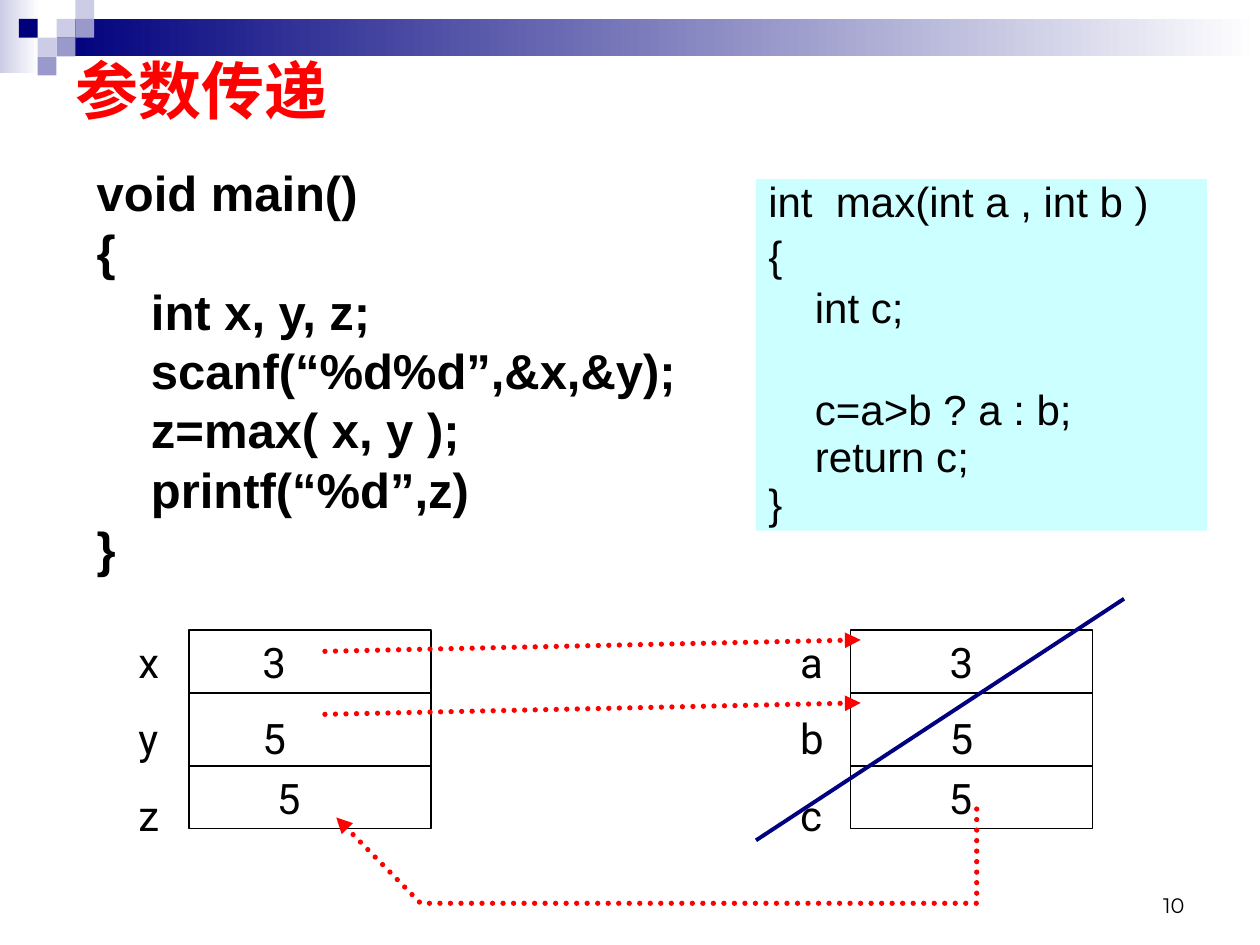
from lxml import etree
from pptx import Presentation
from pptx.dml.color import RGBColor
from pptx.enum import dml, shapes, text
from pptx.oxml import ns
from pptx.util import Cm, Pt

COLORS = {"navy": "00007D", "mid": "9999CC", "pale": "CCCCE6", "white": "FFFFFF",
          "red": "FF0000", "code": "CCFFFF", "black": "000000", "strike": "000080"}
RECT = shapes.MSO_SHAPE.RECTANGLE


def fill_text(frame, lines, font, spacing=None, before=0, align="LEFT", anchor="TOP", tab=None):
    """Write the lines as paragraphs; font holds the values for every run."""
    frame.word_wrap = True
    frame.auto_size = text.MSO_AUTO_SIZE.NONE
    frame.vertical_anchor = text.MSO_ANCHOR[anchor]
    for i, line in enumerate(lines):
        paragraph = frame.paragraphs[0] if i == 0 else frame.add_paragraph()
        paragraph.alignment = text.PP_ALIGN[align]
        paragraph.space_before = Pt(before if i else 0)
        if spacing:
            paragraph.line_spacing = spacing[i]
        if tab:
            tabs = etree.SubElement(paragraph._p.get_or_add_pPr(), ns.qn("a:tabLst"))
            etree.SubElement(tabs, ns.qn("a:tab"), pos=str(tab), algn="l")
        run = paragraph.add_run()
        run.text = line
        values = {"color": "black", **font}
        run.font.color.rgb = RGBColor.from_string(COLORS[values.pop("color")])
        for attribute, value in values.items():
            setattr(run.font, attribute, value)


def style_line(item, color, width, arrow=False):
    """Set an outline without shadow; an arrow is dotted and ends in a triangle."""
    item.line.color.rgb = RGBColor.from_string(COLORS[color])
    item.line.width = Pt(width)
    if arrow:
        item.line.dash_style = dml.MSO_LINE.ROUND_DOT
        outline = item.line._get_or_add_ln()
        outline.set("cap", "rnd")
        etree.SubElement(outline, ns.qn("a:round"))
        etree.SubElement(outline, ns.qn("a:tailEnd"), type="triangle")
    properties = item._element.spPr
    if properties.find(ns.qn("a:effectLst")) is None:
        etree.SubElement(properties, ns.qn("a:effectLst"))


prs = Presentation()
prs.slide_width, prs.slide_height = Cm(25.4), Cm(19.05)
slide = prs.slides.add_slide(prs.slide_layouts[5])
canvas = slide.shapes

# Header: two gradient bands and a mosaic of squares
for left, top, width, height, start in [(0, 0, 0.79, 1.47, "pale"), (1.14, 0.38, 24.26, 0.76, "navy")]:
    band = canvas.add_shape(RECT, Cm(left), Cm(top), Cm(width), Cm(height))
    band.shadow.inherit = False
    band.line.fill.background()
    band.fill.gradient()
    band.fill.gradient_angle = 0
    for stop, color, position in zip(band.fill.gradient_stops, (start, "white"), (0, 1)):
        stop.color.rgb = RGBColor.from_string(COLORS[color])
        stop.position = position

SQUARE = 0.38
for column, row, color in [(3, 1, "pale"), (4, 0, "pale"), (4, 1, "mid"), (2, 2, "pale"),
                           (1, 1, "navy"), (3, 2, "mid"), (2, 3, "mid")]:
    square = canvas.add_shape(RECT, Cm(column * SQUARE), Cm(row * SQUARE), Cm(SQUARE), Cm(SQUARE))
    square.shadow.inherit = False
    square.line.fill.background()
    square.fill.solid()
    square.fill.fore_color.rgb = RGBColor.from_string(COLORS[color])

title = canvas.title
title.left, title.top, title.width, title.height = Cm(1.27), Cm(0.64), Cm(21.59), Cm(2.34)
fill_text(title.text_frame, ["参数传递"],
          {"name": "Arial", "size": Pt(36), "bold": True, "color": "red"}, anchor="MIDDLE")

# The two functions
max_code = canvas.add_shape(RECT, Cm(15.24), Cm(3.61), Cm(9.09), Cm(7.09))
max_code.shadow.inherit = False
max_code.line.fill.background()
max_code.fill.solid()
max_code.fill.fore_color.rgb = RGBColor.from_string(COLORS["code"])
fill_text(max_code.text_frame,
          ["int  max(int a , int b )", "{", "    int c;", "    c=a>b ? a : b;", "    return c;", "}"],
          {"name": "Arial", "size": Pt(24)}, spacing=[0.8, 0.5, 0.5, 0.5, 0.4, 0.4], before=15)
max_code.text_frame.paragraphs[3].space_before = Pt(44)

main_code = canvas.add_textbox(Cm(1.7), Cm(3.38), Cm(12.6), Cm(8.46))
fill_text(main_code.text_frame,
          ["void main()", "{", "    int x, y, z;", "    scanf(“%d%d”,&x,&y);",
           "    z=max( x, y );", "    printf(“%d”,z)", "}"],
          {"name": "Arial", "size": Pt(28), "bold": True}, spacing=[0.8] * 7, before=7)

# Memory cells of main (left) and max (right)
CELLS_TOP, CELLS_WIDTH = 12.7, 4.88
for left in (3.81, 17.15):
    cells = canvas.add_shape(RECT, Cm(left), Cm(CELLS_TOP), Cm(CELLS_WIDTH), Cm(4.01))
    cells.fill.background()
    style_line(cells, "black", 0.75)
    for y in (13.97, 15.44):
        divider = canvas.add_connector(shapes.MSO_CONNECTOR.STRAIGHT,
                                       Cm(left), Cm(y), Cm(left + CELLS_WIDTH), Cm(y))
        style_line(divider, "black", 0.75)

for left, top, width, height, lines, align, tab in [
        (2.54, CELLS_TOP, 5.28, 4.37, ["x\t3", "y\t5", "z"], "LEFT", Cm(2.5)),
        (15.88, CELLS_TOP, 1.06, 4.37, ["a", "b", "c"], "LEFT", None),
        (18.85, CELLS_TOP, 1.06, 2.82, ["3", "5"], "CENTER", None),
        (18.62, 15.44, 1.48, 1.27, ["5"], "CENTER", None),
        (5.08, 15.44, 1.48, 1.27, ["5"], "CENTER", None)]:
    values = canvas.add_textbox(Cm(left), Cm(top), Cm(width), Cm(height))
    fill_text(values.text_frame, lines, {"name": "Roboto", "size": Pt(24)},
              before=15, align=align, tab=tab)

# Arguments passed in, result passed back, cells of max released
for color, width, arrow, ends in [("red", 3, True, (6.55, 13.13, 17.35, 12.9)),
                                  ("red", 3, True, (6.55, 14.4, 17.35, 14.17)),
                                  ("strike", 2.25, False, (15.24, 16.94, 22.66, 12.07))]:
    link = canvas.add_connector(shapes.MSO_CONNECTOR.STRAIGHT, *map(Cm, ends))
    style_line(link, color, width, arrow)

outline = canvas.build_freeform(Cm(19.69), Cm(16.31))
outline.add_line_segments([(Cm(x), Cm(y)) for x, y in [(19.69, 18.21), (8.48, 18.21), (6.78, 16.48)]],
                          close=False)
result_path = outline.convert_to_shape()
result_path.fill.background()
style_line(result_path, "red", 3, arrow=True)

page_number = canvas.add_textbox(Cm(18.2), Cm(17.36), Cm(5.93), Cm(1.27))
fill_text(page_number.text_frame, ["10"], {"name": "Montserrat", "size": Pt(12)},
          align="RIGHT", anchor="BOTTOM")

prs.save("out.pptx")
